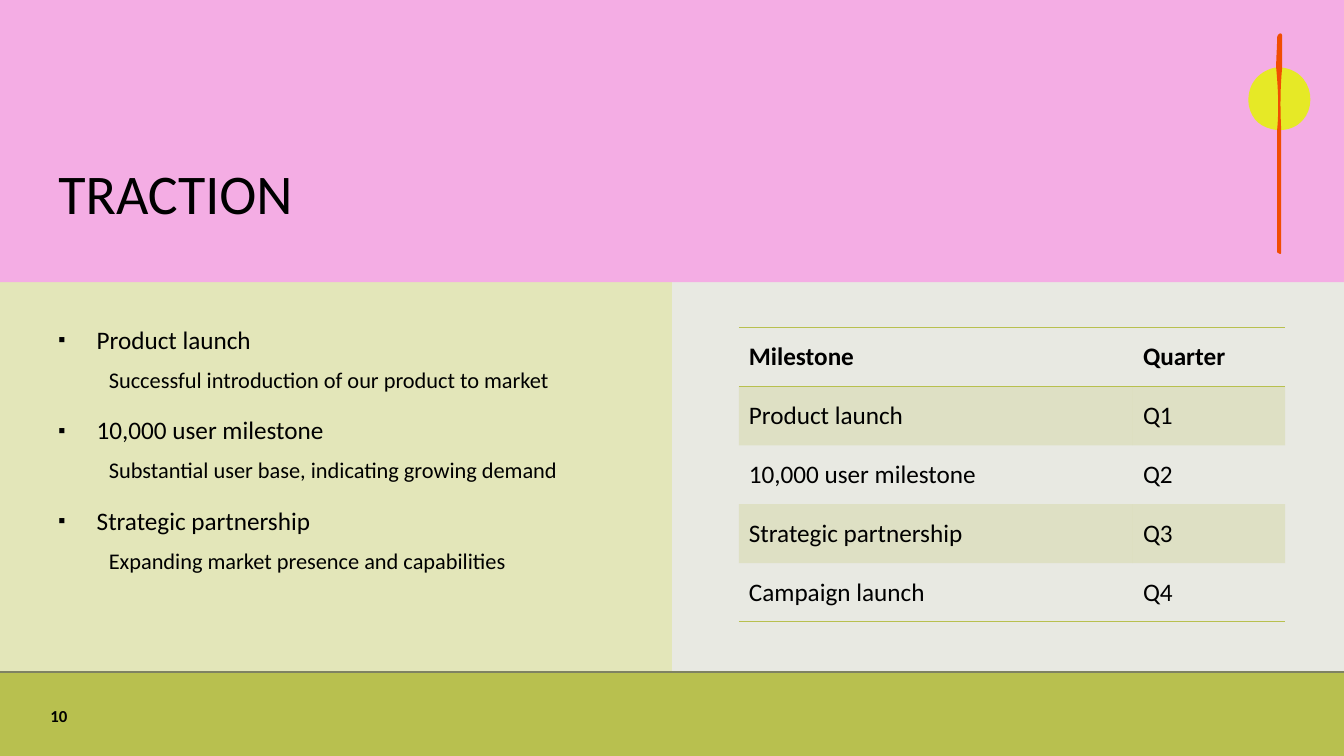
from lxml import etree
from pptx import Presentation
from pptx.dml.color import RGBColor
from pptx.enum.shapes import MSO_CONNECTOR, MSO_SHAPE
from pptx.enum.text import MSO_ANCHOR, MSO_AUTO_SIZE, PP_ALIGN
from pptx.oxml.ns import qn
from pptx.util import Inches, Pt

RECTANGLE, STRAIGHT = MSO_SHAPE.RECTANGLE, MSO_CONNECTOR.STRAIGHT
TOP, MIDDLE, BOTTOM = MSO_ANCHOR.TOP, MSO_ANCHOR.MIDDLE, MSO_ANCHOR.BOTTOM
LEFT, NO_AUTOFIT = PP_ALIGN.LEFT, MSO_AUTO_SIZE.NONE

# Content
TITLE = "TRACTION"
PAGE_NUMBER = "10"
POINTS = [
    ("Product launch", "Successful introduction of our product to market"),
    ("10,000 user milestone", "Substantial user base, indicating growing demand"),
    ("Strategic partnership", "Expanding market presence and capabilities"),
]
MILESTONES = [
    ("Milestone", "Quarter"),
    ("Product launch", "Q1"),
    ("10,000 user milestone", "Q2"),
    ("Strategic partnership", "Q3"),
    ("Campaign launch", "Q4"),
]

# Style
FONT = "Calibri"
BLACK = RGBColor(0x00, 0x00, 0x00)
PAPER = RGBColor(0xE8, 0xE9, 0xE2)
PALE_OLIVE = RGBColor(0xE3, 0xE6, 0xB9)
OLIVE = RGBColor(0xB8, 0xC0, 0x4F)
DARK_OLIVE = RGBColor(0x7E, 0x82, 0x63)
PINK = RGBColor(0xF4, 0xAD, 0xE4)
YELLOW = RGBColor(0xE6, 0xE9, 0x26)
ORANGE = RGBColor(0xF1, 0x4D, 0x02)
NO_TABLE_STYLE = "{2D5ABB26-0587-4C30-8999-92F81FD0307C}"

# Layout in inches
WIDTH, HEIGHT = 40 / 3, 7.5
HEADER_BOTTOM, FOOTER_TOP = 2.8, HEIGHT * 8 / 9
MARGIN, CONTENT_TOP, CONTENT_HEIGHT = 0.58, 3.25, 2.92
TABLE_LEFT, COLUMN_WIDTHS = 7.33, (3.91, 1.51)
BANDS = [
    (0, HEADER_BOTTOM, WIDTH / 2, HEIGHT - HEADER_BOTTOM, PALE_OLIVE),
    (0, FOOTER_TOP, WIDTH, HEIGHT - FOOTER_TOP, OLIVE),
    (0, 0, WIDTH, HEADER_BOTTOM, PINK),
]

# Ornament: frame, then a start point and line ends (2 numbers) or curves (6)
DISC_FRAME = (12.38, 0.67, 0.62, 0.62)
DISC = [
    (12.67, 1.29), (12.51, 1.27, 12.42, 1.19, 12.39, 1.05),
    (12.36, 0.86, 12.47, 0.71, 12.65, 0.67),
    (12.65, 0.67, 12.68, 0.67, 12.69, 0.67), (12.7, 0.67, 12.72, 0.67, 12.72, 0.67),
    (13.1, 0.72, 13.09, 1.27, 12.71, 1.29), (12.71, 1.29, 12.69, 1.29, 12.67, 1.29),
]
STICK_FRAME = (12.67, 0.33, 0.05, 2.19)
STICK = [
    (12.66, 0.67), (12.66, 0.57, 12.67, 0.47, 12.67, 0.37),
    (12.67, 0.35, 12.68, 0.34, 12.7, 0.33), (12.71, 0.33, 12.72, 0.34, 12.72, 0.35),
    (12.72, 0.67), (12.7, 0.87, 12.7, 1.08, 12.71, 1.28), (12.71, 2.5),
    (12.71, 2.51, 12.71, 2.52, 12.7, 2.52), (12.68, 2.51),
    (12.67, 2.51, 12.67, 2.5, 12.67, 2.49), (12.67, 1.29),
    (12.69, 1.08, 12.68, 0.88, 12.66, 0.67),
]


def box(*lengths):
    return [Inches(length) for length in lengths]


def place(shape, *frame):
    shape.left, shape.top, shape.width, shape.height = box(*frame)


def paint(shape, color):
    shape.shadow.inherit = False
    shape.fill.solid()
    shape.fill.fore_color.rgb = color
    shape.line.fill.background()


def add_child(parent, tag, **attributes):
    return etree.SubElement(parent, qn(tag), attributes)


def add_outline(shapes, frame, segments):
    """Build a freeform from segment ends, then bend its curved segments."""
    ends = [box(*segment[-2:]) for segment in segments]
    builder = shapes.build_freeform(*ends[0])
    builder.add_line_segments(ends[1:], close=True)
    shape = builder.convert_to_shape()
    place(shape, *frame)
    left, top, width, height = box(*frame)
    outline = next(shape._element.iter(qn("a:path")))
    outline.set("w", str(width))
    outline.set("h", str(height))
    for step, segment in zip(list(outline), segments):
        for point in list(step):
            step.remove(point)
        if len(segment) == 6:
            step.tag = qn("a:cubicBezTo")
        for x, y in zip(segment[::2], segment[1::2]):
            add_child(step, "a:pt", x=str(Inches(x) - left), y=str(Inches(y) - top))
    return shape


def prepare_frame(shape, anchor):
    frame = shape.text_frame
    frame.word_wrap = True
    frame.auto_size = NO_AUTOFIT
    frame.vertical_anchor = anchor
    frame.margin_left = frame.margin_top = frame.margin_right = frame.margin_bottom = 0
    return frame


def write(paragraph, text, size, bold=False):
    paragraph.alignment = LEFT
    run = paragraph.add_run()
    run.text = text
    run.font.name, run.font.size, run.font.bold = FONT, Pt(size), bold
    run.font.color.rgb = BLACK


def add_bullet(properties):
    color = add_child(properties, "a:buClr")
    add_child(color, "a:srgbClr", val=str(BLACK))
    add_child(properties, "a:buSzPct", val="80000")
    add_child(properties, "a:buFont", typeface=FONT)
    add_child(properties, "a:buChar", char="▪")


def add_border(cell, side):
    line = add_child(cell._tc.get_or_add_tcPr(), side, w=str(Pt(1)))
    fill = add_child(line, "a:solidFill")
    add_child(fill, "a:srgbClr", val=str(OLIVE))


presentation = Presentation()
presentation.slide_width, presentation.slide_height = box(WIDTH, HEIGHT)
slide = presentation.slides.add_slide(presentation.slide_layouts[5])
slide.background.fill.solid()
slide.background.fill.fore_color.rgb = PAPER
shapes = slide.shapes

# Coloured bands and footer rule
for *band, color in BANDS:
    paint(shapes.add_shape(RECTANGLE, *box(*band)), color)
rule = shapes.add_connector(STRAIGHT, *box(0, FOOTER_TOP, WIDTH, FOOTER_TOP))
rule.line.color.rgb, rule.line.width = DARK_OLIVE, Pt(1)
add_child(rule._element.spPr, "a:effectLst")

# Ornament
paint(add_outline(shapes, DISC_FRAME, DISC), YELLOW)
paint(add_outline(shapes, STICK_FRAME, STICK), ORANGE)

# Title, moved in front of the bands
title = shapes.title
place(title, MARGIN, 0.45, 11.52, 1.8)
paragraph = prepare_frame(title, BOTTOM).paragraphs[0]
paragraph.line_spacing = 0.9
write(paragraph, TITLE, 40)
shapes._spTree.append(title._element)

# Bulleted points with details
body = shapes.add_textbox(*box(MARGIN, CONTENT_TOP, 5.53, CONTENT_HEIGHT))
frame = prepare_frame(body, TOP)
lines = [(level, text) for point in POINTS for level, text in enumerate(point)]
for index, (level, text) in enumerate(lines):
    paragraph = frame.add_paragraph() if index else frame.paragraphs[0]
    paragraph.level = level
    paragraph.line_spacing = 0.9
    paragraph.space_before = Pt(10 if level else 18)
    write(paragraph, text, 16 if level else 18)
    properties = paragraph._p.get_or_add_pPr()
    properties.set("marL", str(Inches(0.5 if level else 0.38)))
    properties.set("indent", str(Inches(0 if level else -0.38)))
    if level == 0:
        add_bullet(properties)

# Milestone table
row_count = len(MILESTONES)
table = shapes.add_table(row_count, len(COLUMN_WIDTHS), *box(
    TABLE_LEFT, CONTENT_TOP, sum(COLUMN_WIDTHS), CONTENT_HEIGHT)).table
table.first_row = table.horz_banding = False
table._tbl.tblPr.find(qn("a:tableStyleId")).text = NO_TABLE_STYLE
for column, width in zip(table.columns, COLUMN_WIDTHS):
    column.width = Inches(width)
for row, values in enumerate(MILESTONES):
    table.rows[row].height = Inches(CONTENT_HEIGHT / row_count)
    for column, text in enumerate(values):
        cell = table.cell(row, column)
        cell.vertical_anchor = MIDDLE
        write(cell.text_frame.paragraphs[0], text, 18, bold=row == 0)
        if row == 0:
            add_border(cell, "a:lnT")
        if row in (0, row_count - 1):
            add_border(cell, "a:lnB")
        if row % 2:
            cell.fill.solid()
            cell.fill.fore_color.rgb = OLIVE
            tint = cell._tc.tcPr.find(qn("a:solidFill"))[0]
            add_child(tint, "a:alpha", val="20000")
        else:
            cell.fill.background()

# Page number
number = shapes.add_textbox(*box(0.5, 6.9, 0.7, 0.3))
write(prepare_frame(number, BOTTOM).paragraphs[0], PAGE_NUMBER, 12, bold=True)

presentation.save("out.pptx")
